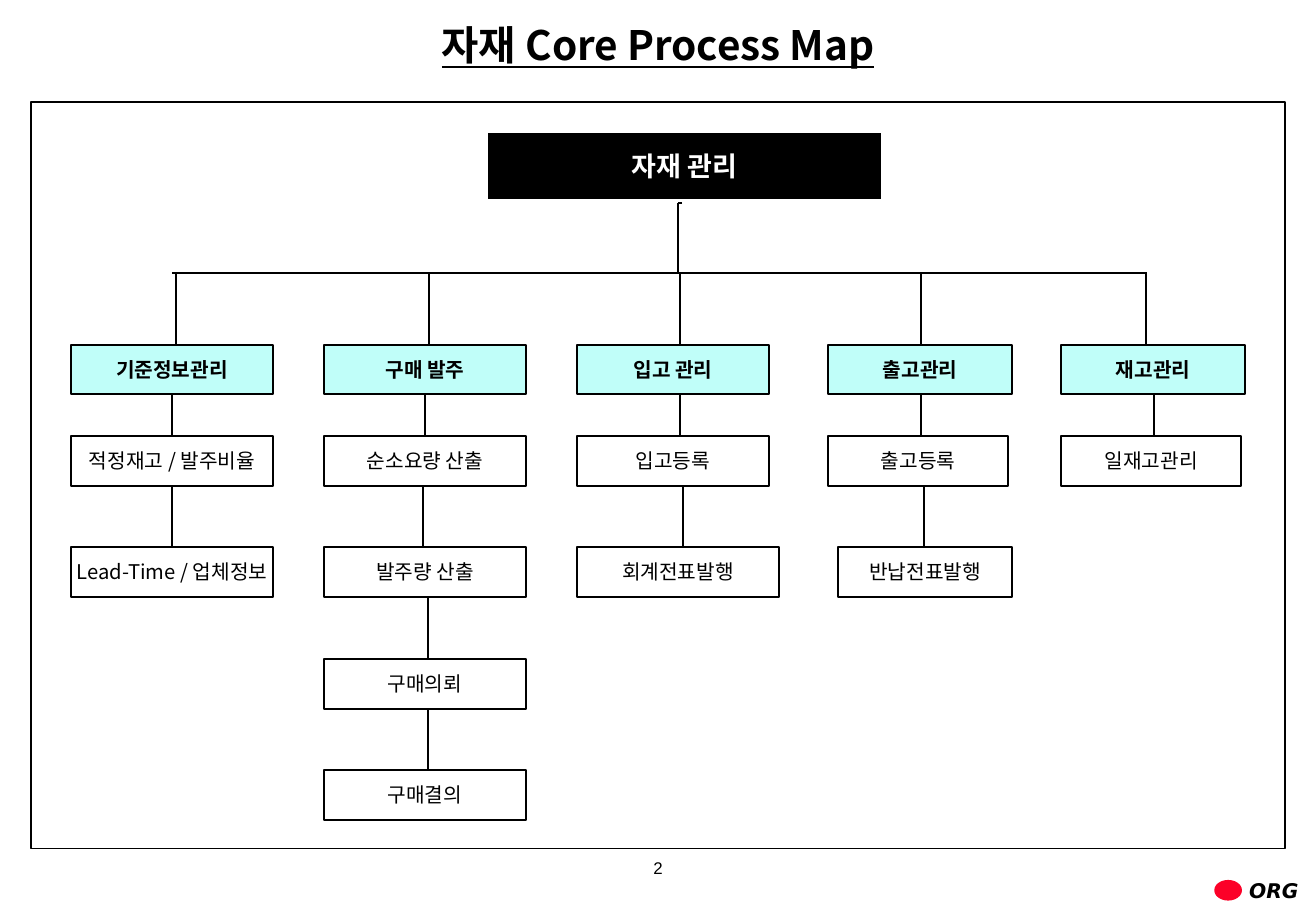
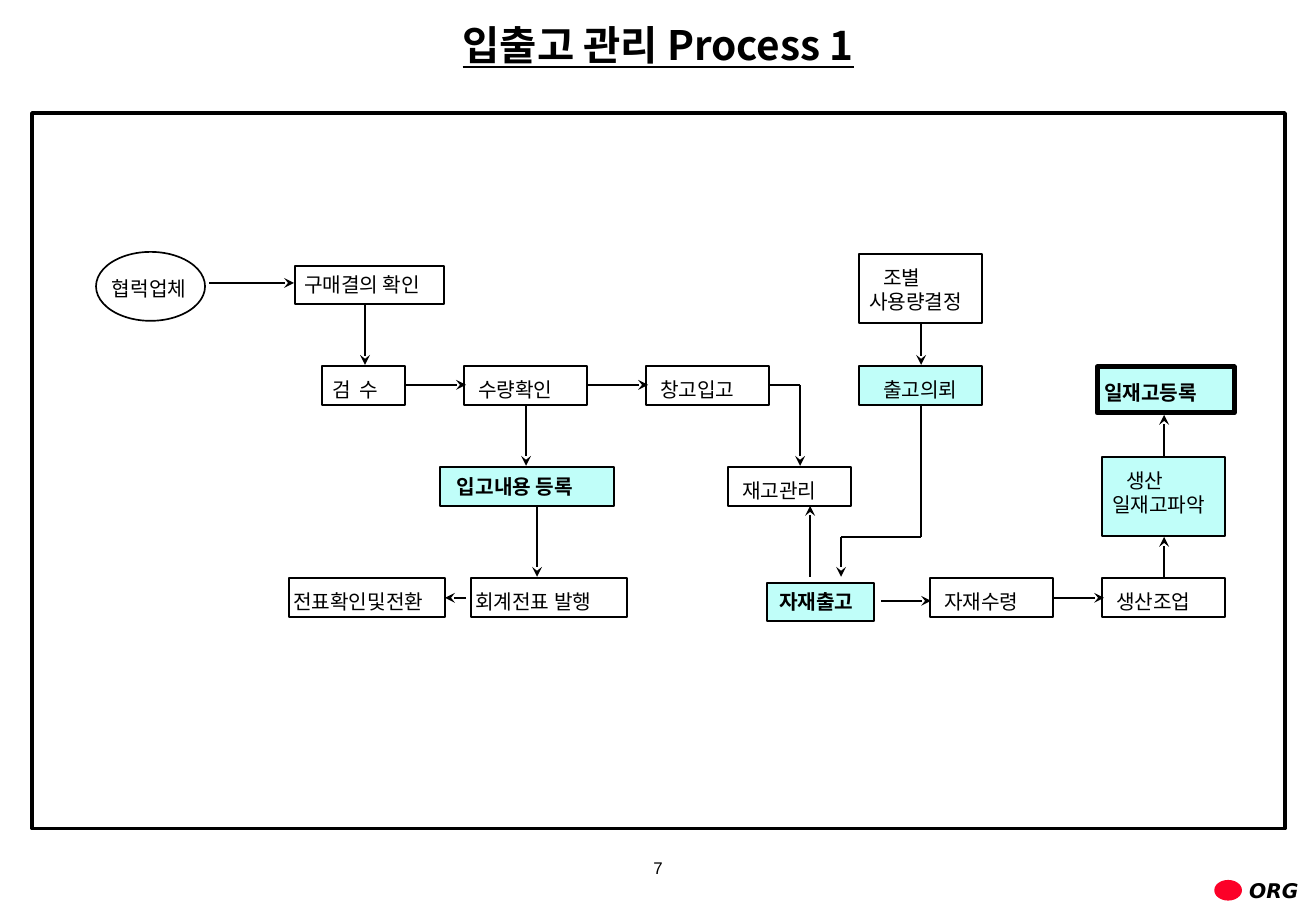
from lxml import etree
from pptx import Presentation
from pptx import util as u
from pptx.dml.color import RGBColor
from pptx.enum import shapes, text
from pptx.oxml.ns import qn

SCALE = 914400 / 121.5
BLACK, WHITE, CYAN, RED = "000000", "FFFFFF", "C0FEF9", "FC0128"
FONT = "Noto Sans CJK KR"
RECT, OVAL = shapes.MSO_SHAPE.RECTANGLE, shapes.MSO_SHAPE.OVAL
CENTER, LEFT = text.PP_ALIGN.CENTER, text.PP_ALIGN.LEFT
TOP, MIDDLE = text.MSO_ANCHOR.TOP, text.MSO_ANCHOR.MIDDLE


def px(n):
    return u.Emu(round(n * SCALE))


def color(code):
    return RGBColor.from_string(code)


# Text: pad is the left and top inset
def write(shape, words, size=12, ink=BLACK, font=FONT, bold=False, italic=False,
          line=False, align=CENTER, anchor=MIDDLE, pad=(0, 0), wrap=False):
    frame = shape.text_frame
    frame.text = words
    frame.word_wrap = wrap
    frame.vertical_anchor = anchor
    frame.margin_left, frame.margin_top = px(pad[0]), px(pad[1])
    frame.margin_right = frame.margin_bottom = 0
    for para in frame.paragraphs:
        para.alignment = align
        for run in para.runs:
            style = run.font
            style.size, style.name = u.Pt(size), font
            style.bold, style.italic, style.underline = bold, italic, line
            style.color.rgb = color(ink)
            etree.SubElement(run.font._element, qn("a:ea"), typeface=font)


def label(slide, x, y, w, h, words, **style):
    write(slide.shapes.add_textbox(px(x), px(y), px(w), px(h)), words, **style)


def box(slide, x, y, w, h, fill=None, edge=BLACK, width=1, kind=RECT):
    shape = slide.shapes.add_shape(kind, px(x), px(y), px(w), px(h))
    shape.shadow.inherit = False
    if fill:
        shape.fill.solid()
        shape.fill.fore_color.rgb = color(fill)
    else:
        shape.fill.background()
    shape.line.color.rgb = color(edge)
    shape.line.width = u.Pt(width)
    return shape


# Lines through a list of points, with an arrowhead on the last part if asked
def link(slide, *points, arrow=False):
    for start, end in zip(points, points[1:]):
        wire = slide.shapes.add_connector(
            shapes.MSO_CONNECTOR.STRAIGHT, *map(px, start + end))
        wire.line.color.rgb = color(BLACK)
        wire.line.width = u.Pt(1)
        etree.SubElement(wire._element.spPr, qn("a:effectLst"))
    if arrow:
        etree.SubElement(wire.line._get_or_add_ln(), qn("a:tailEnd"), type="stealth")


# Shared title, frame and footer
def page(deck, title, number, frame, width):
    slide = deck.slides.add_slide(deck.slide_layouts[6])
    box(slide, *frame, width=width)
    label(slide, 0, 20, 1316, 61, title, size=24, bold=True, line=True,
          anchor=TOP, wrap=True)
    label(slide, 547, 851, 222, 40, str(number), size=10, font="Arial",
          anchor=TOP, pad=(0, 7), wrap=True)
    box(slide, 1215, 881, 26, 19, RED, RED, kind=OVAL)
    label(slide, 1249, 881, 60, 20, "ORG", font="DejaVu Sans",
          bold=True, italic=True, align=LEFT)
    return slide


# Process map: x, head width, head, drop x, then (x, width, text, link x)
COLUMNS = [
    (71, 202, "기준정보관리", 176, [
        (71, 202, "적정재고 / 발주비율", 172),
        (71, 202, "Lead-Time / 업체정보", 172)]),
    (324, 202, "구매 발주", 429, [
        (324, 202, "순소요량 산출", 425), (324, 202, "발주량 산출", 423),
        (324, 202, "구매의뢰", 428), (324, 202, "구매결의", 428)]),
    (577, 192, "입고 관리", 680, [
        (577, 192, "입고등록", 680), (577, 202, "회계전표발행", 683)]),
    (828, 184, "출고관리", 921, [
        (828, 180, "출고등록", 921), (838, 174, "반납전표발행", 924)]),
    (1061, 184, "재고관리", 1146, [(1061, 180, "일재고관리", 1154)]),
]
ROWS = (436, 547, 659, 770)


def tree(deck):
    slide = page(deck, "자재 Core Process Map", 2, (31, 102, 1254, 747), 1)
    write(box(slide, 487, 132, 395, 68, BLACK, WHITE, 1.5), "자재 관리",
          size=16, ink=WHITE, bold=True)
    link(slide, (682, 203), (678, 203), (678, 273))
    link(slide, (172, 273), (1147, 273))
    for x, w, head, drop, steps in COLUMNS:
        link(slide, (drop, 273), (drop, 345))
        write(box(slide, x, 345, w, 49, CYAN), head, bold=True)
        end = 394
        for top, (left, wide, words, mid) in zip(ROWS, steps):
            link(slide, (mid, end), (mid, top))
            write(box(slide, left, top, wide, 50), words)
            end = top + 50


# Flow steps: x, y, width, height, text, text inset, fill, bold, line width
STEPS = [
    (295, 266, 149, 38, "구매결의 확인", (9, 6), WHITE, False, 1),
    (322, 366, 83, 39, "검  수", (10, 11), WHITE, False, 1),
    (464, 366, 123, 39, "수량확인", (14, 11), WHITE, False, 1),
    (646, 366, 123, 39, "창고입고", (14, 11), WHITE, False, 1),
    (728, 467, 123, 39, "재고관리", (14, 11), WHITE, False, 1),
    (440, 467, 174, 39, "입고내용 등록", (17, 7), CYAN, True, 1),
    (471, 578, 156, 39, "회계전표 발행", (4, 11), WHITE, False, 1),
    (289, 578, 156, 39, "전표확인및전환", (4, 11), WHITE, False, 1),
    (767, 583, 107, 38, "자재출고", (12, 6), CYAN, True, 1),
    (930, 578, 123, 39, "자재수령", (14, 11), WHITE, False, 1),
    (1102, 578, 123, 39, "생산조업", (14, 11), WHITE, False, 1),
    (859, 254, 123, 69, "조별\n사용량결정", (10, 11), WHITE, False, 1),
    (859, 366, 123, 39, "출고의뢰", (24, 11), CYAN, False, 1),
    (1102, 457, 123, 79, "생산\n일재고파악", (10, 11), CYAN, False, 1),
    (1097, 367, 137, 46, "일재고등록", (7, 13), CYAN, True, 3),
]
ARROWS = [
    [(209, 283), (294, 283)],
    [(365, 304), (365, 365)],
    [(405, 385), (466, 385)],
    [(587, 385), (648, 385)],
    [(526, 405), (526, 466)],
    [(537, 506), (537, 577)],
    [(466, 598), (445, 598)],
    [(769, 385), (800, 385), (800, 466)],
    [(810, 577), (810, 506)],
    [(921, 324), (921, 365)],
    [(921, 405), (921, 537), (841, 537), (841, 577)],
    [(881, 601), (931, 601)],
    [(1053, 598), (1104, 598)],
    [(1164, 577), (1164, 537)],
    [(1164, 456), (1164, 415)],
]


def flow(deck):
    slide = page(deck, "입출고 관리 Process 1", 7, (32, 113, 1253, 716), 2)
    write(box(slide, 96, 252, 109, 69, kind=OVAL), "협럭업체",
          align=LEFT, anchor=TOP, pad=(0, 14), wrap=True)
    for x, y, w, h, words, pad, fill, bold, width in STEPS:
        shape = box(slide, x, y, w, h, fill, width=width)
        write(shape, words, bold=bold, align=LEFT, anchor=TOP, pad=pad, wrap=True)
        if "\n" in words:
            first = shape.text_frame.paragraphs[0]
            first._p.get_or_add_pPr().set("indent", str(px(14)))
    for points in ARROWS:
        link(slide, *points, arrow=True)


def main():
    deck = Presentation()
    deck.slide_width, deck.slide_height = u.Inches(10.83), u.Inches(7.5)
    tree(deck)
    flow(deck)
    deck.save("out.pptx")


main()
